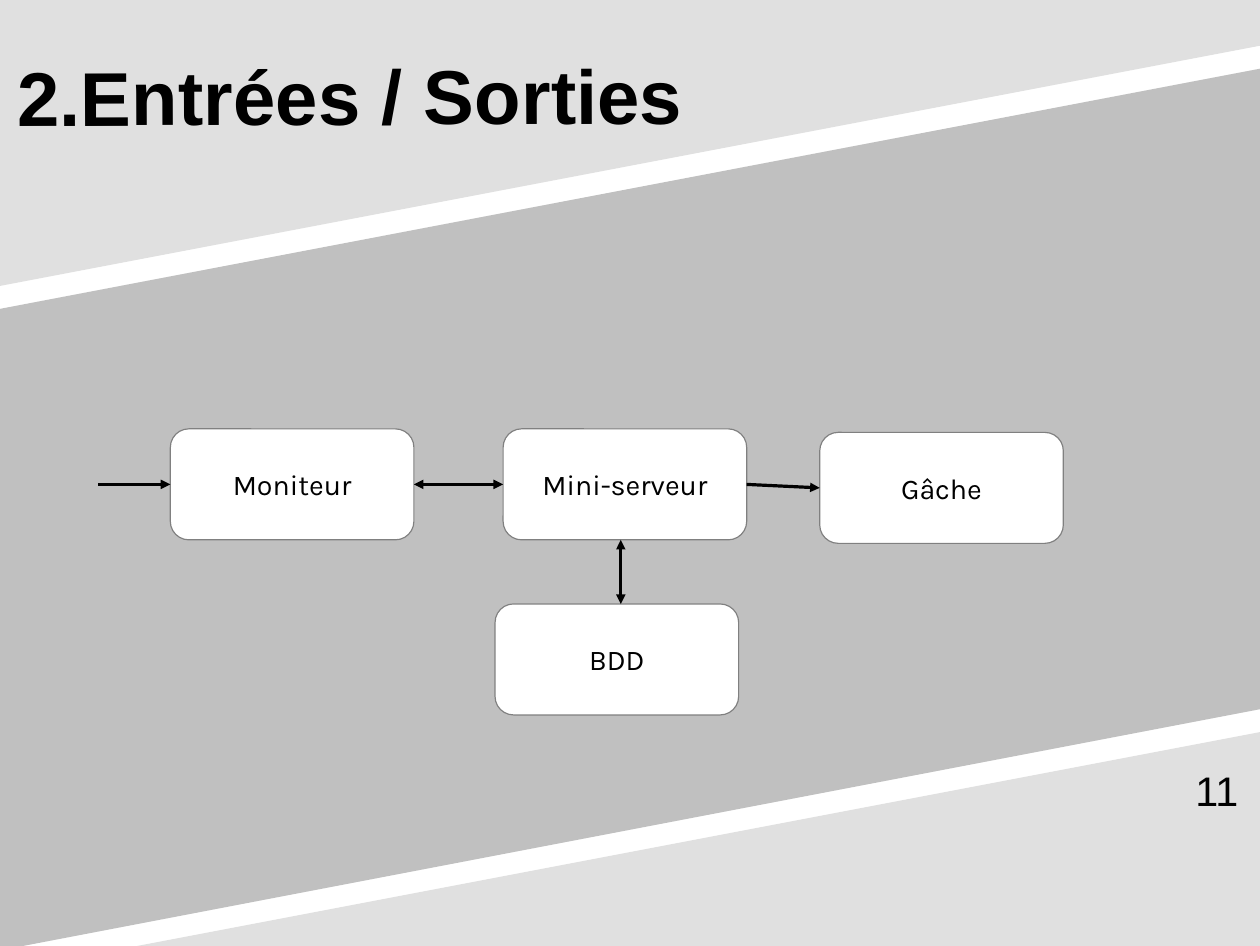
from dataclasses import dataclass

from lxml import etree
from pptx import Presentation
from pptx.dml.color import RGBColor
from pptx.enum.shapes import MSO_CONNECTOR, MSO_SHAPE
from pptx.enum.text import MSO_ANCHOR, PP_ALIGN
from pptx.oxml.ns import qn
from pptx.util import Inches, Pt

ROUNDED = MSO_SHAPE.ROUNDED_RECTANGLE
STRAIGHT = MSO_CONNECTOR.STRAIGHT
LEFT, CENTER, RIGHT = PP_ALIGN.LEFT, PP_ALIGN.CENTER, PP_ALIGN.RIGHT
TOP, MIDDLE = MSO_ANCHOR.TOP, MSO_ANCHOR.MIDDLE
LEFT_SIDE, RIGHT_SIDE = 1, 3

BLACK, WHITE, BORDER = "000000", "FFFFFF", "808080"
PALE, GREY = "E0E0E0", "C0C0C0"

# Positions are in percent of the slide's width and height
WIDTH, HEIGHT = Inches(11.02), Inches(8.27)
BLOCK_W, BLOCK_H = 19.33, 11.73
MAIN_ROW, LOCK_ROW, DATA_ROW = 45.34, 45.71, 63.85


@dataclass
class Band:
    color: str
    corners: list[tuple[float, float]]


@dataclass
class Block:
    label: str
    left: float
    top: float


@dataclass
class Arrow:
    start: tuple[float, float]
    end: tuple[float, float]
    source: str = ""
    target: str = ""
    two_way: bool = False


BANDS = [
    Band(PALE, [(10.89, 100), (100, 100), (100, 77.39)]),
    Band(GREY, [(0, 100), (1.81, 100), (100, 74.97), (100, 7.26), (0, 32.65)]),
    Band(PALE, [(0, 30.23), (0, 0), (100, 0), (100, 4.84)]),
]

MONITOR = Block("Moniteur", 13.52, MAIN_ROW)
BOARD = Block("Mini-serveur", 39.93, MAIN_ROW)
LOCK = Block("Gâche", 65.06, LOCK_ROW)
DATABASE = Block("BDD", 39.29, DATA_ROW)
BLOCKS = [MONITOR, BOARD, LOCK, DATABASE]

MAIN_AXIS = MAIN_ROW + BLOCK_H / 2
LOCK_AXIS = LOCK_ROW + BLOCK_H / 2
DATA_AXIS = 49.27
ARROWS = [
    Arrow((MONITOR.left + BLOCK_W, MAIN_AXIS), (BOARD.left, MAIN_AXIS),
          MONITOR.label, BOARD.label, two_way=True),
    Arrow((DATA_AXIS, MAIN_ROW + BLOCK_H), (DATA_AXIS, DATA_ROW), two_way=True),
    Arrow((BOARD.left + BLOCK_W, MAIN_AXIS), (LOCK.left, LOCK_AXIS),
          BOARD.label, LOCK.label),
    Arrow((7.8, MAIN_AXIS), (MONITOR.left, MAIN_AXIS), target=MONITOR.label),
]


def across(share: float) -> int:
    return round(WIDTH * share / 100)


def down(share: float) -> int:
    return round(HEIGHT * share / 100)


def place(left: float, top: float, width: float, height: float) -> tuple:
    return across(left), down(top), across(width), down(height)


def rgb(color: str) -> RGBColor:
    return RGBColor.from_string(color)


def write(shape, text: str, *, size: float, font: str, bold: bool = False,
          align=LEFT, anchor=TOP, wrap: bool = True, margins=(0, 0)) -> None:
    frame = shape.text_frame
    frame.word_wrap = wrap
    frame.vertical_anchor = anchor
    frame.margin_left = frame.margin_right = Inches(margins[0])
    frame.margin_top = frame.margin_bottom = Inches(margins[1])
    paragraph = frame.paragraphs[0]
    paragraph.alignment = align
    run = paragraph.add_run()
    run.text = text
    run.font.size = Pt(size)
    run.font.name = font
    run.font.bold = bold
    run.font.color.rgb = rgb(BLACK)


def paint(shape, color: str) -> None:
    shape.shadow.inherit = False
    shape.fill.solid()
    shape.fill.fore_color.rgb = rgb(color)


def draw_band(shapes, band: Band) -> None:
    corners = [(across(x), down(y)) for x, y in band.corners]
    builder = shapes.build_freeform(*corners[0])
    builder.add_line_segments(corners[1:], close=True)
    outline = builder.convert_to_shape()
    paint(outline, band.color)
    outline.line.fill.background()


def draw_block(shapes, block: Block):
    box = shapes.add_shape(ROUNDED, *place(block.left, block.top, BLOCK_W, BLOCK_H))
    paint(box, WHITE)
    box.line.color.rgb = rgb(BORDER)
    box.line.width = Pt(0)
    write(box, block.label, size=18, font="Karla", align=CENTER, anchor=MIDDLE,
          wrap=False, margins=(0.1, 0.05))
    return box


def draw_arrow(shapes, arrow: Arrow, boxes: dict) -> None:
    (x1, y1), (x2, y2) = arrow.start, arrow.end
    link = shapes.add_connector(STRAIGHT, across(x1), down(y1), across(x2), down(y2))
    if arrow.source:
        link.begin_connect(boxes[arrow.source], RIGHT_SIDE)
    if arrow.target:
        link.end_connect(boxes[arrow.target], LEFT_SIDE)
    link.line.color.rgb = rgb(BLACK)
    link.line.width = Pt(0)
    line = link.line._get_or_add_ln()
    for tag in (["a:headEnd"] if arrow.two_way else []) + ["a:tailEnd"]:
        etree.SubElement(line, qn(tag), type="triangle")
    etree.SubElement(link._element.spPr, qn("a:effectLst"))


def main() -> None:
    deck = Presentation()
    deck.slide_width, deck.slide_height = WIDTH, HEIGHT
    slide = deck.slides.add_slide(deck.slide_layouts[6])
    shapes = slide.shapes

    # Background
    slide.background.fill.solid()
    slide.background.fill.fore_color.rgb = rgb(WHITE)
    for band in BANDS:
        draw_band(shapes, band)

    # Title
    title = shapes.add_textbox(*place(1.36, 1.57, 90.02, 16.69))
    title.rotation = -0.2
    write(title, "2.Entrées / Sorties", size=48, font="Arial", bold=True, anchor=MIDDLE)

    # Block diagram
    boxes = {block.label: draw_block(shapes, block) for block in BLOCKS}
    for arrow in ARROWS:
        draw_arrow(shapes, arrow, boxes)

    # Page number
    page_number = shapes.add_textbox(*place(73.23, 80.89, 25.05, 6.89))
    write(page_number, "11", size=26, font="Arial", align=RIGHT)

    deck.save("out.pptx")


if __name__ == "__main__":
    main()
